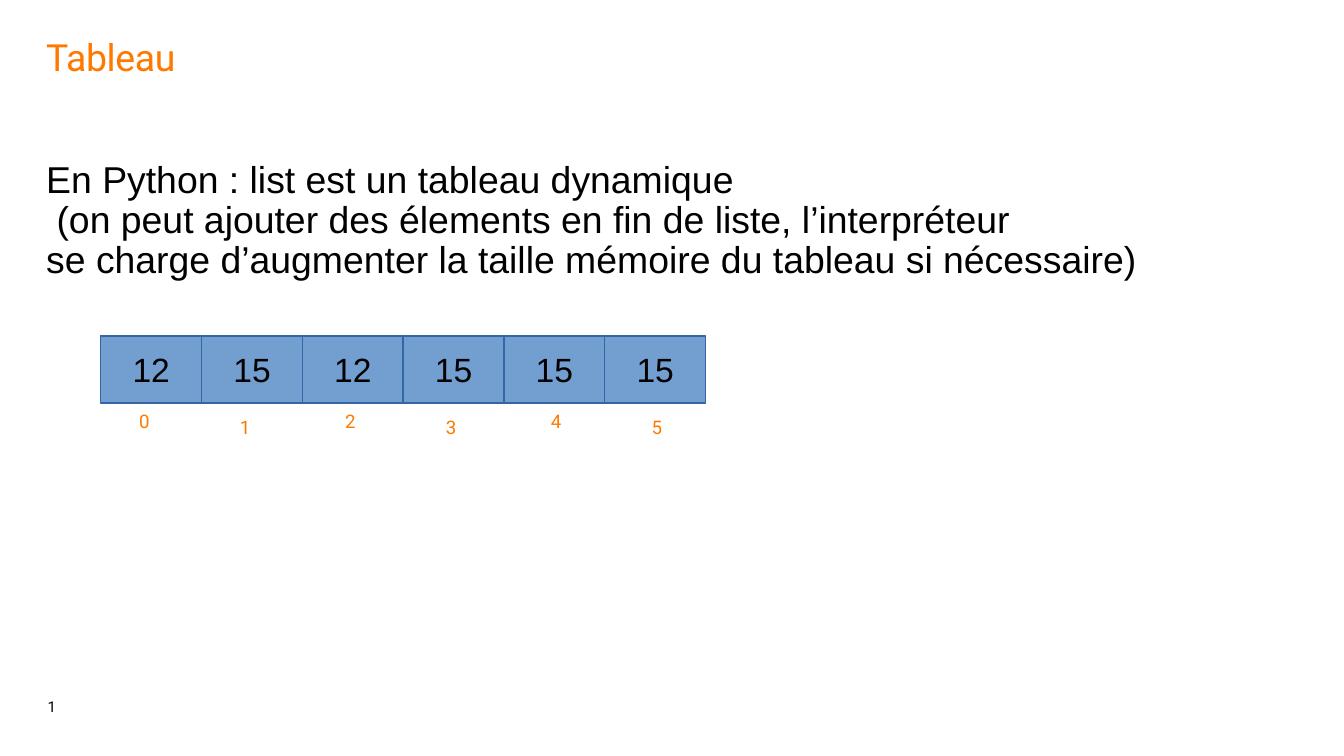
from dataclasses import dataclass

from lxml.etree import SubElement
from pptx import Presentation
from pptx.dml.color import RGBColor
from pptx.enum.shapes import MSO_SHAPE as Shape
from pptx.enum.text import MSO_ANCHOR as Anchor, MSO_AUTO_SIZE as Fit, PP_ALIGN as Align
from pptx.oxml.ns import qn
from pptx.util import Emu, Pt

PX = 9525  # EMU per px, 96 px to the inch

BLACK = RGBColor(0x00, 0x00, 0x00)
ORANGE = RGBColor(0xFF, 0x79, 0x00)
BLUE = RGBColor(0x72, 0x9F, 0xCF)
EDGE = RGBColor(0x34, 0x65, 0xA4)

VALUES = (12, 15, 12, 15, 15, 15)
LINES = (
    "En Python : list est un tableau dynamique",
    " (on peut ajouter des élements en fin de liste, l’interpréteur",
    "se charge d’augmenter la taille mémoire du tableau si nécessaire)",
)


@dataclass(frozen=True)
class Box:
    left: int
    top: int
    width: int
    height: int

    def emu(self) -> list[Emu]:
        return [Emu(n * PX) for n in (self.left, self.top, self.width, self.height)]


@dataclass(frozen=True)
class Style:
    font: str
    size: int
    color: RGBColor
    track: int = 0  # letter spacing, hundredths of a point


TITLE = Style("Roboto", 20, ORANGE, -20)
BODY = Style("Arial", 20, BLACK)
VALUE = Style("Arial", 18, BLACK)
INDEX = Style("Roboto", 10, ORANGE, -20)
NUMBER = Style("Roboto", 8, BLACK)


def add_run(para, text: str, style: Style) -> None:
    run = para.add_run()
    run.text = text
    run.font.name = style.font
    run.font.size = Pt(style.size)
    run.font.color.rgb = style.color
    if style.track:
        run._r.get_or_add_rPr().set("spc", str(style.track))


def set_inset(frame, left: int = 0) -> None:
    frame.margin_left = Emu(left * PX)
    frame.margin_top = frame.margin_right = frame.margin_bottom = 0


def fill_holder(holder, box: Box, lines: tuple[str, ...], style: Style) -> None:
    """Move a placeholder and fill it with plain, left-aligned lines."""
    holder.left, holder.top, holder.width, holder.height = box.emu()
    frame = holder.text_frame
    frame.auto_size = Fit.NONE
    frame.word_wrap = True
    frame.vertical_anchor = Anchor.TOP
    set_inset(frame)
    for i, line in enumerate(lines):
        para = frame.add_paragraph() if i else frame.paragraphs[0]
        para.alignment = Align.LEFT
        para.line_spacing = 0.9
        para.space_before = Pt(0)
        props = para._p.get_or_add_pPr()
        props.set("marL", "0")
        props.set("indent", "0")
        SubElement(props, qn("a:buNone"))
        add_run(para, line, style)


def add_label(slide, box: Box, text: str, style: Style):
    frame = slide.shapes.add_textbox(*box.emu()).text_frame
    frame.word_wrap = True
    add_run(frame.paragraphs[0], text, style)
    return frame


def add_cell(slide, box: Box, text: str) -> None:
    cell = slide.shapes.add_shape(Shape.RECTANGLE, *box.emu())
    cell.shadow.inherit = False
    cell.fill.solid()
    cell.fill.fore_color.rgb = BLUE
    cell.line.color.rgb = EDGE
    cell.line.width = Pt(0)
    cell.text_frame.vertical_anchor = Anchor.MIDDLE
    para = cell.text_frame.paragraphs[0]
    para.alignment = Align.CENTER
    add_run(para, text, VALUE)


def index_box(i: int) -> Box:
    """Odd labels sit a little lower, in a smaller box."""
    pair, odd = divmod(i, 2)
    shift = 147 * pair
    return Box(162 + shift, 292, 26, 23) if odd else Box(90 + shift, 288, 54, 36)


def main() -> None:
    deck = Presentation()
    deck.slide_width, deck.slide_height = Emu(960 * PX), Emu(540 * PX)
    slide = deck.slides.add_slide(deck.slide_layouts[1])

    fill_holder(slide.shapes.title, Box(33, 28, 894, 78), ("Tableau",), TITLE)
    fill_holder(slide.placeholders[1], Box(33, 115, 894, 89), LINES, BODY)

    for i, value in enumerate(VALUES):
        add_cell(slide, Box(72 + 72 * i, 240, 72, 48), str(value))
    for i in range(len(VALUES)):
        add_label(slide, index_box(i), str(i), INDEX)

    frame = add_label(slide, Box(33, 476, 29, 35), "1", NUMBER)
    frame.vertical_anchor = Anchor.BOTTOM
    frame.paragraphs[0].line_spacing = 0.85
    set_inset(frame, 1)

    deck.save("out.pptx")


if __name__ == "__main__":
    main()
